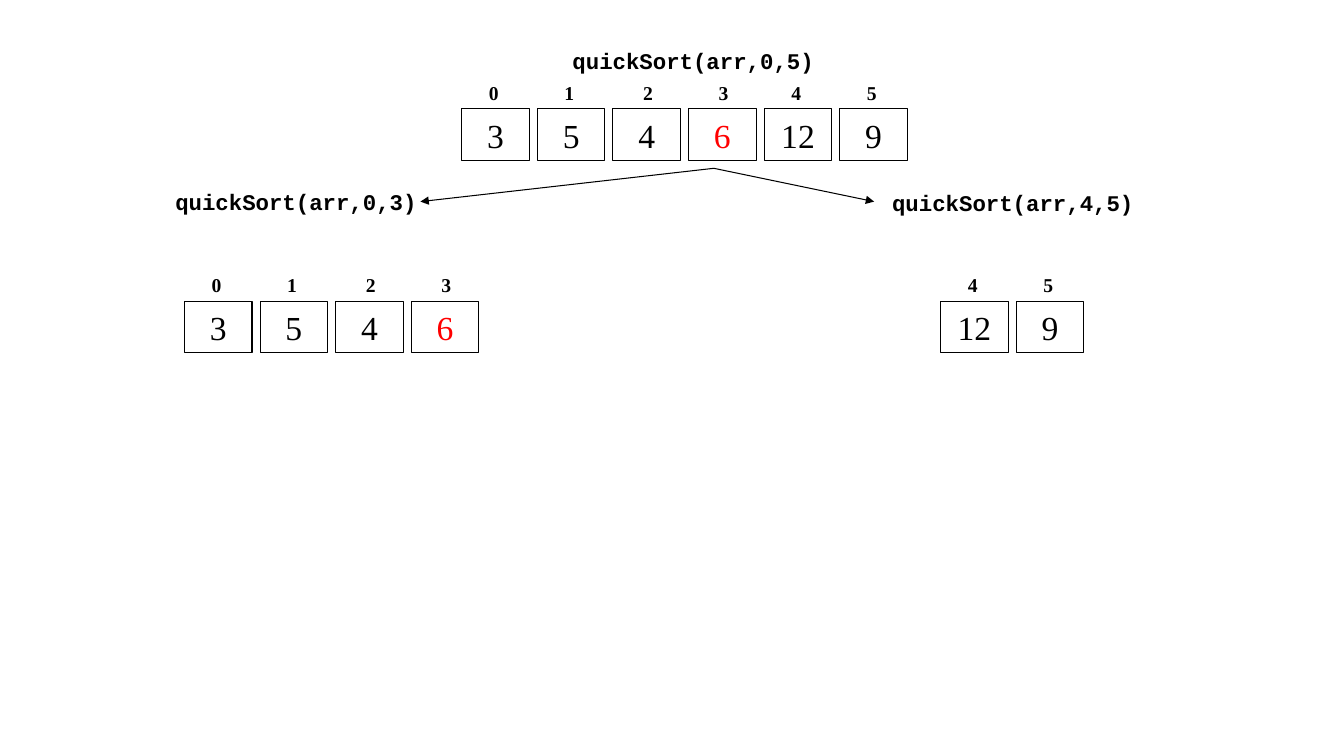
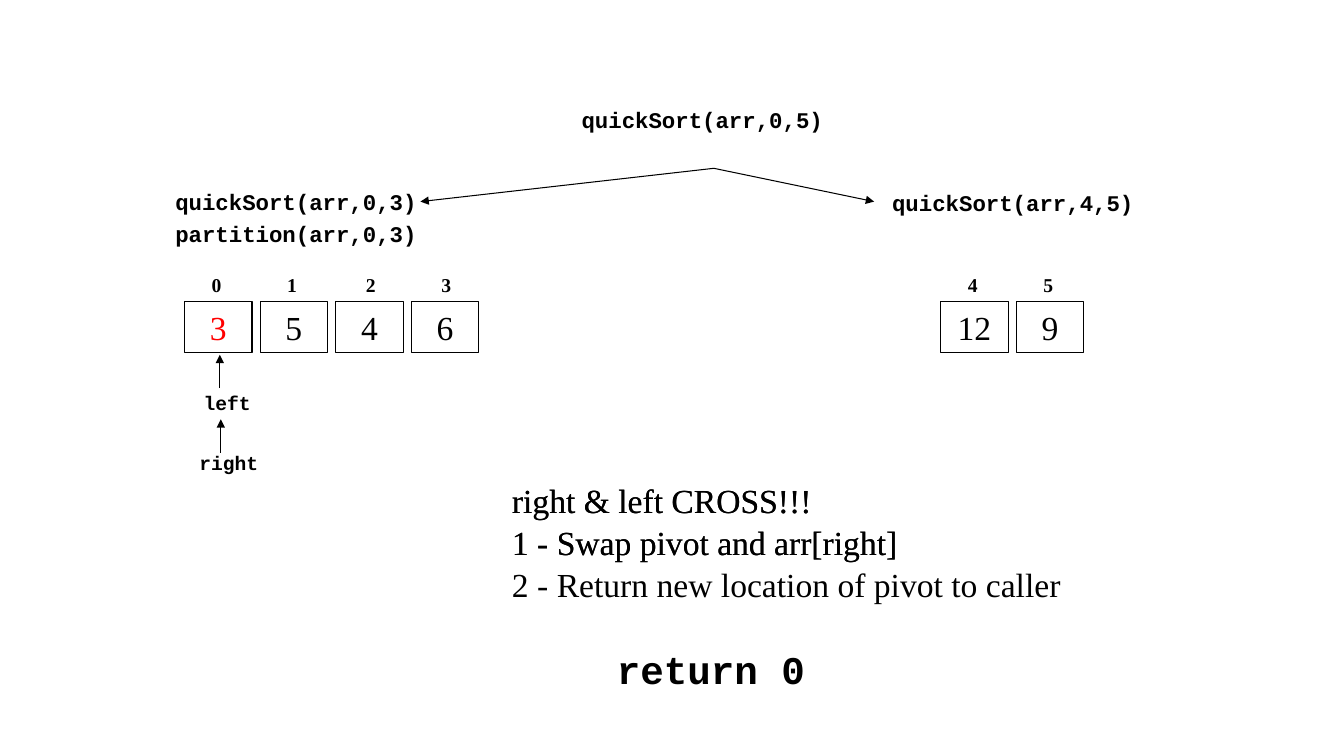
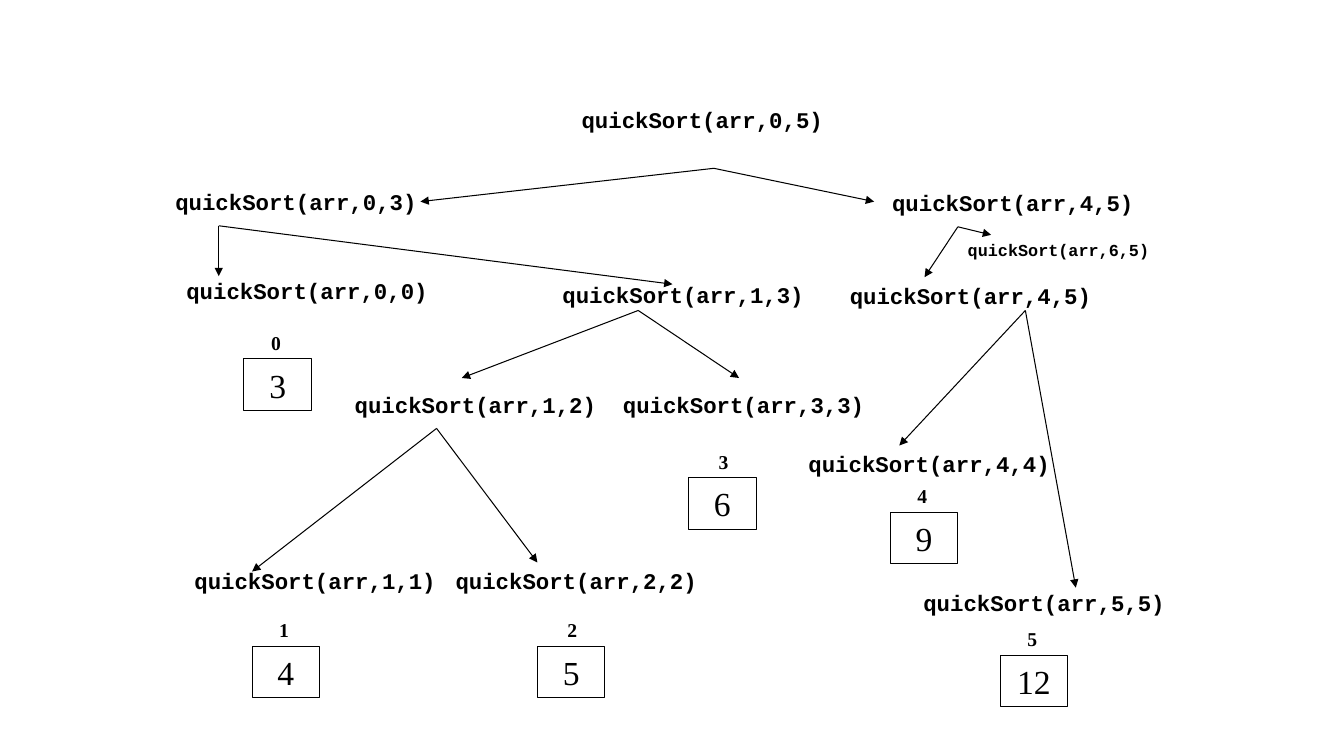
from pptx import Presentation
from pptx.dml.color import RGBColor as RGB
from pptx.enum.shapes import MSO_CONNECTOR as LINE, MSO_SHAPE as SHAPE
from pptx.enum.text import MSO_ANCHOR as ANCHOR, PP_ALIGN as ALIGN
from pptx.oxml.ns import qn
from pptx.util import Inches, Pt
from lxml.etree import SubElement

COLORS = {"ink": "000000", "pivot": "FF0000"}
CODE, SERIF = "Courier New", "Times New Roman"
CHAR_WIDTH = {CODE: 0.6, SERIF: 0.5}
CELL_WIDTH, CELL_HEIGHT, CELL_STEP = 0.67, 0.51, 0.75
INDEX_RISE = 0.33
INDEX_SHIFT = [0.17, 0.17, 0.2, 0.2, 0.17, 0.17]


def style(frame, font, size, bold=False, color="ink"):
    for paragraph in frame.paragraphs:
        for run in paragraph.runs:
            run.font.name = font
            run.font.size = Pt(size)
            run.font.bold = bold
            run.font.color.rgb = RGB.from_string(COLORS[color])


def add_text(slide, left, top, text, size=16, font=CODE, bold=True):
    lines = text.split("\n")
    width = max(map(len, lines)) * size * CHAR_WIDTH[font] / 72 + 0.2
    height = len(lines) * size * 1.2 / 72 + 0.1
    frame = slide.shapes.add_textbox(
        Inches(left), Inches(top), Inches(width), Inches(height)).text_frame
    frame.word_wrap = False
    frame.text = text
    for paragraph in frame.paragraphs[1:]:
        paragraph.space_before = Pt(1.3)
    style(frame, font, size, bold)


shared_calls = [(1.64, 1.82, "quickSort(arr,0,3)"), (8.75, 1.83, "quickSort(arr,4,5)")]
shared_branches = [((7.08, 1.67), [(4.17, 2), (8.67, 2)])]
root_call = (5.67, 1, "quickSort(arr,0,5)")
right_half = (9.33, 2.99, 4, [12, 9], None)

steps = [
    {
        "calls": [(5.58, 0.42, "quickSort(arr,0,5)")],
        "arrays": [
            (4.58, 1.08, 0, [3, 5, 4, 6, 12, 9], 6),
            (1.83, 2.99, 0, [3, 5, 4, 6], 6),
            right_half,
        ],
        "branches": [],
    },
    {
        "calls": [
            root_call,
            (1.64, 2.13, "partition(arr,0,3)"),
            (1.92, 3.83, "left", 14),
            (1.88, 4.42, "right", 14),
            (6.02, 6.35, "return 0", 28),
        ],
        "arrays": [(1.83, 2.99, 0, [3, 5, 4, 6], 3), right_half],
        "branches": [((2.18, 3.85), [(2.18, 3.52)]), ((2.19, 4.49), [(2.19, 4.16)])],
    },
    {
        "calls": [
            root_call,
            (1.75, 2.7, "quickSort(arr,0,0)"),
            (5.48, 2.74, "quickSort(arr,1,3)"),
            (3.42, 3.83, "quickSort(arr,1,2)"),
            (6.08, 3.83, "quickSort(arr,3,3)"),
            (1.83, 5.58, "quickSort(arr,1,1)"),
            (4.42, 5.58, "quickSort(arr,2,2)"),
            (8.33, 2.75, "quickSort(arr,4,5)"),
            (7.92, 4.42, "quickSort(arr,4,4)"),
            (9.06, 5.8, "quickSort(arr,5,5)"),
            (9.5, 2.33, "quickSort(arr,6,5)", 12),
        ],
        "arrays": [
            (2.42, 3.56, 0, [3], None),
            (2.5, 6.41, 1, [4], None),
            (5.33, 6.41, 2, [5], None),
            (6.83, 4.74, 3, [6], None),
            (8.83, 5.08, 4, [9], None),
            (9.92, 6.5, 5, [12], None),
        ],
        "branches": [
            ((2.17, 2.24), [(2.17, 2.74), (6.67, 2.82)]),
            ((6.33, 3.08), [(4.58, 3.75), (7.33, 3.75)]),
            ((4.33, 4.25), [(2.5, 5.67), (5.33, 5.58)]),
            ((10.17, 3.08), [(8.92, 4.42), (10.67, 5.83)]),
            ((9.5, 2.25), [(9.17, 2.75), (9.83, 2.33)]),
        ],
    },
]

deck = Presentation()
deck.slide_width, deck.slide_height = Inches(13.33), Inches(7.5)

for step in steps:
    slide = deck.slides.add_slide(deck.slide_layouts[6])

    for call in shared_calls + step["calls"]:
        add_text(slide, *call)

    for left, top, first, values, pivot in step["arrays"]:
        for offset, value in enumerate(values):
            cell_left = left + offset * CELL_STEP
            index = first + offset
            cell = slide.shapes.add_shape(
                SHAPE.RECTANGLE, Inches(cell_left), Inches(top),
                Inches(CELL_WIDTH), Inches(CELL_HEIGHT))
            cell.shadow.inherit = False
            cell.fill.background()
            cell.line.color.rgb = RGB.from_string(COLORS["ink"])
            cell.line.width = Pt(0.75)
            cell.text_frame.text = str(value)
            cell.text_frame.vertical_anchor = ANCHOR.MIDDLE
            cell.text_frame.paragraphs[0].alignment = ALIGN.CENTER
            style(cell.text_frame, SERIF, 24, color="pivot" if value == pivot else "ink")
            add_text(slide, cell_left + INDEX_SHIFT[index], top - INDEX_RISE,
                     str(index), 14, SERIF)

    for start, ends in shared_branches + step["branches"]:
        for end in ends:
            arrow = slide.shapes.add_connector(LINE.STRAIGHT, *map(Inches, start + end))
            arrow.line.color.rgb = RGB.from_string(COLORS["ink"])
            arrow.line.width = Pt(0.75)
            SubElement(arrow.line._get_or_add_ln(), qn("a:tailEnd"), type="triangle")
            SubElement(arrow._element.spPr, qn("a:effectLst"))

cross_notes = [
    "right & left CROSS!!!",
    "1 - Swap pivot and arr[right]",
    "2 - Return new location of pivot to caller",
]
for shown in (2, 3):
    add_text(deck.slides[1], 4.98, 4.71, "\n".join(cross_notes[:shown]), 24, SERIF, False)

deck.save("out.pptx")
